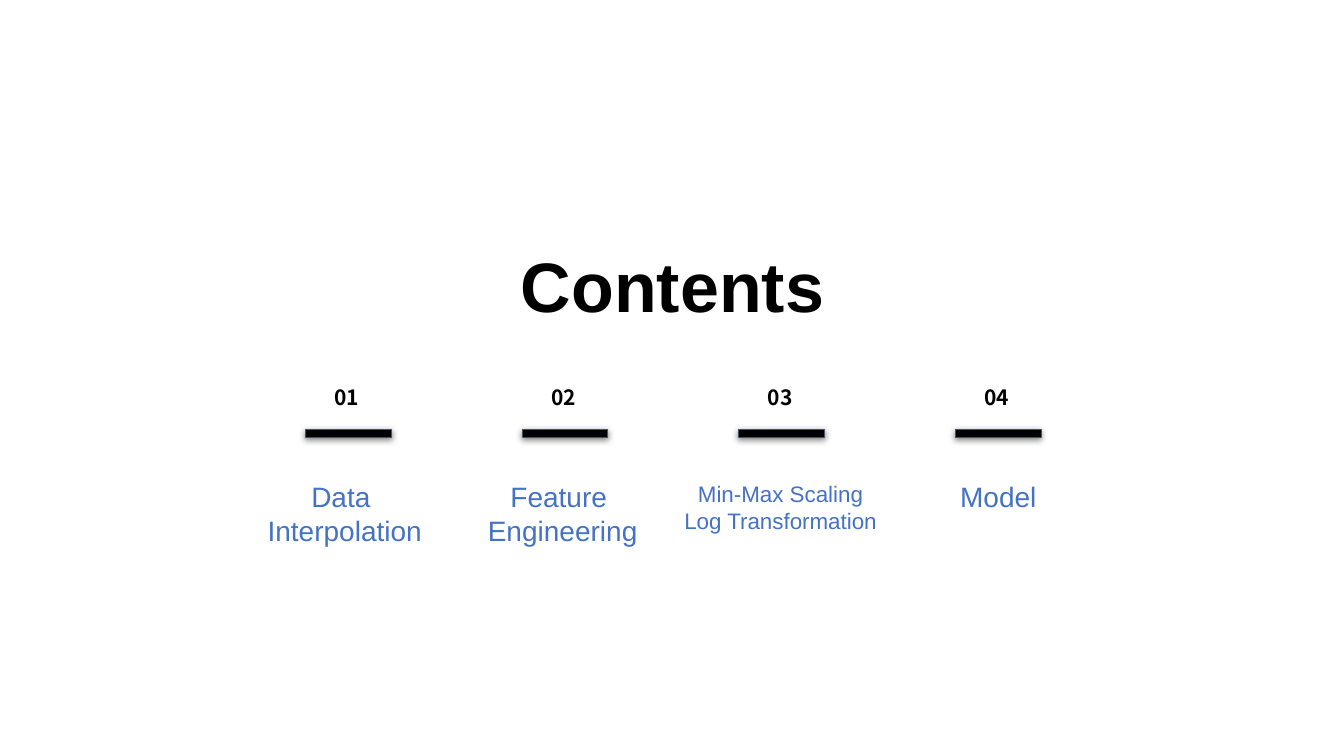
from lxml import etree
from pptx import Presentation
from pptx.dml.color import RGBColor
from pptx.enum.shapes import MSO_SHAPE
from pptx.enum.text import MSO_ANCHOR, MSO_AUTO_SIZE, PP_ALIGN
from pptx.oxml.ns import qn
from pptx.util import Cm, Pt

RECTANGLE = MSO_SHAPE.RECTANGLE
TOP = MSO_ANCHOR.TOP
GROW = MSO_AUTO_SIZE.SHAPE_TO_FIT_TEXT
CENTER = PP_ALIGN.CENTER
LEFT = PP_ALIGN.LEFT

BLACK = RGBColor(0x00, 0x00, 0x00)
SLATE = RGBColor(0x44, 0x54, 0x6A)
BLUE = RGBColor(0x44, 0x72, 0xC4)

TEXT_FONT = "Arial"
NUMBER_FONT = "Noto Sans CJK KR"
TITLE_ONLY_LAYOUT = 5

COLUMN_STEP = 5.46
CAPTION_STEP = 5.49

# Caption text (\n starts a paragraph, \v a line), font size, box height in cm
SECTIONS = [
    ("Data \nInterpolation", 20, 2.24),
    ("Feature \vEngineering", 20, 2.24),
    ("Min-Max Scaling\vLog Transformation", 16, 1.88),
    ("Model", 20, 1.37),
]


def write_text(shape, text, font_name, size, color, bold=False, alignment=CENTER, wrap=True):
    frame = shape.text_frame
    frame.text = text
    frame.word_wrap = wrap
    frame.auto_size = GROW
    frame.vertical_anchor = TOP
    frame.margin_left = frame.margin_right = Cm(0.25)
    frame.margin_top = frame.margin_bottom = Cm(0.25)
    for paragraph in frame.paragraphs:
        paragraph.alignment = alignment
        paragraph.font.name = font_name
        paragraph.font.size = Pt(size)
        paragraph.font.bold = bold
        paragraph.font.color.rgb = color


def add_title(slide):
    title = slide.shapes.title
    title.left, title.top = Cm(9.65), Cm(5.87)
    title.width, title.height = Cm(14.6), Cm(2.64)
    write_text(title, "Contents", TEXT_FONT, 50, BLACK, bold=True)


def add_number(slide, column):
    box = slide.shapes.add_textbox(
        Cm(8.18 + column * COLUMN_STEP), Cm(9.45), Cm(1.17), Cm(1.14))
    write_text(box, f"{column + 1:02}", NUMBER_FONT, 15, BLACK,
               bold=True, alignment=LEFT, wrap=False)


def add_soft_shadow(shape):
    """Give the shape a half-transparent black shadow that falls straight down."""
    shape.shadow.inherit = False
    effects = shape.element.spPr.find(qn("a:effectLst"))
    shadow = etree.SubElement(
        effects, qn("a:outerShdw"), blurRad=str(Pt(4.5)), dist=str(Pt(1.5)),
        dir="5400000", algn="ctr", rotWithShape="0")
    color = etree.SubElement(shadow, qn("a:srgbClr"), val=str(BLACK))
    etree.SubElement(color, qn("a:alpha"), val="50000")


def add_bar(slide, column):
    bar = slide.shapes.add_shape(
        RECTANGLE, Cm(7.7 + column * COLUMN_STEP), Cm(10.82), Cm(2.16), Cm(0.2))
    bar.fill.solid()
    bar.fill.fore_color.rgb = BLACK
    bar.line.color.rgb = SLATE
    bar.line.width = Pt(0.75)
    add_soft_shadow(bar)


def add_caption(slide, column, text, size, height):
    box = slide.shapes.add_textbox(
        Cm(5.94 + column * CAPTION_STEP), Cm(11.84), Cm(5.5), Cm(height))
    write_text(box, text, TEXT_FONT, size, BLUE)


def main():
    presentation = Presentation()
    presentation.slide_width = Cm(33.87)
    presentation.slide_height = Cm(19.05)
    slide = presentation.slides.add_slide(presentation.slide_layouts[TITLE_ONLY_LAYOUT])
    add_title(slide)
    for column, (text, size, height) in enumerate(SECTIONS):
        add_number(slide, column)
        add_bar(slide, column)
        add_caption(slide, column, text, size, height)
    presentation.save("out.pptx")


if __name__ == "__main__":
    main()
